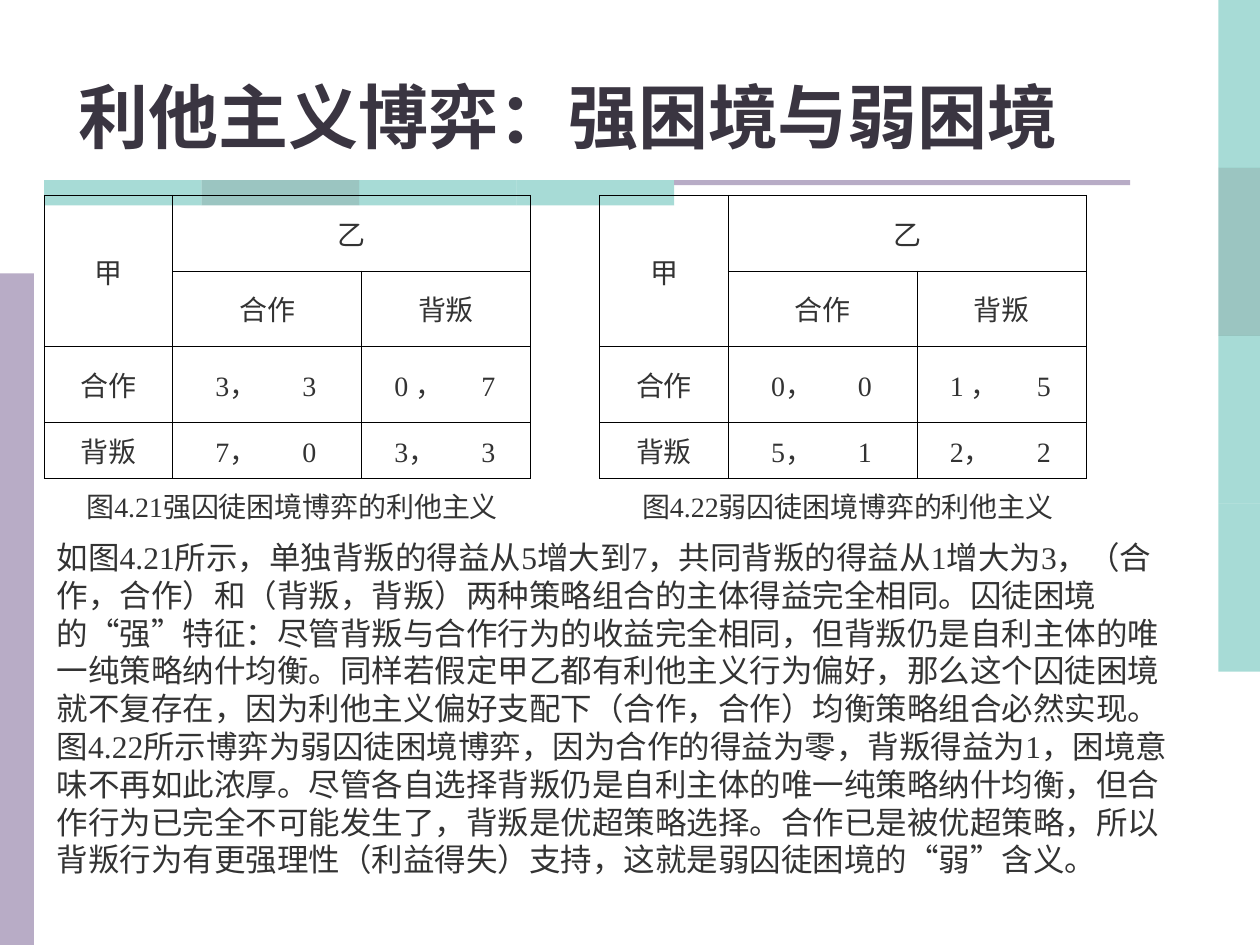
from lxml import etree
from pptx import Presentation
from pptx.dml.color import RGBColor
from pptx.enum.shapes import MSO_SHAPE
from pptx.enum.text import MSO_ANCHOR, MSO_AUTO_SIZE, PP_ALIGN
from pptx.oxml.ns import qn
from pptx.util import Inches, Pt

RECTANGLE = MSO_SHAPE.RECTANGLE
MIDDLE, BOTTOM, TOP = MSO_ANCHOR.MIDDLE, MSO_ANCHOR.BOTTOM, MSO_ANCHOR.TOP
FIXED, GROW = MSO_AUTO_SIZE.NONE, MSO_AUTO_SIZE.SHAPE_TO_FIT_TEXT
CENTER, LEFT = PP_ALIGN.CENTER, PP_ALIGN.LEFT

TEAL = RGBColor(0x51, 0xB9, 0xAF)
DARK_TEAL = RGBColor(0x39, 0x8D, 0x85)
LILAC = RGBColor(0xB8, 0xAC, 0xC6)
TITLE_INK = RGBColor(0x3A, 0x35, 0x41)
INK = RGBColor(0x33, 0x33, 0x33)
BLACK = RGBColor(0, 0, 0)

FONT = "Times New Roman"
BAND_COLORS = (TEAL, DARK_TEAL, TEAL, TEAL)
COLUMN_WIDTHS = (1.02, 1.5, 1.34)
ROW_HEIGHTS = (0.6, 0.6, 0.6, 0.45)
PAYOFF_MARGINS = {1: 0.34, 2: 0.26}
PAYOFF_TAB = 0.69

TITLE = "利他主义博弈：强困境与弱困境"
DISCUSSION = (
    "如图4.21所示，单独背叛的得益从5增大到7，共同背叛的得益从1增大为3，"
    "（合作，合作）和（背叛，背叛）两种策略组合的主体得益完全相同。"
    "囚徒困境的“强”特征：尽管背叛与合作行为的收益完全相同，"
    "但背叛仍是自利主体的唯一纯策略纳什均衡。"
    "同样若假定甲乙都有利他主义行为偏好，那么这个囚徒困境就不复存在，"
    "因为利他主义偏好支配下（合作，合作）均衡策略组合必然实现。",
    "图4.22所示博弈为弱囚徒困境博弈，因为合作的得益为零，背叛得益为1，"
    "困境意味不再如此浓厚。尽管各自选择背叛仍是自利主体的唯一纯策略纳什均衡，"
    "但合作行为已完全不可能发生了，背叛是优超策略选择。"
    "合作已是被优超策略，所以背叛行为有更强理性（利益得失）支持，"
    "这就是弱囚徒困境的“弱”含义。",
)
GAMES = (
    (0.35, "图4.21强囚徒困境博弈的利他主义",
     (("3，\t3", "0 ，\t7"), ("7，\t0", "3，\t3"))),
    (4.76, "图4.22弱囚徒困境博弈的利他主义",
     (("0，\t0", "1 ，\t5"), ("5，\t1", "2，\t2"))),
)


def apply_format(target, values):
    for attribute, value in values.items():
        setattr(target, attribute, value)


def place(shape, box):
    sides = ("left", "top", "width", "height")
    apply_format(shape, dict(zip(sides, map(Inches, box))))


def style_paragraph(paragraph, size, color=INK, bold=False, align=CENTER):
    apply_format(paragraph, {"alignment": align, "space_before": Pt(0)})
    apply_format(paragraph.font, {"name": FONT, "size": Pt(size), "bold": bold})
    paragraph.font.color.rgb = color


def add_block(slide, box, color, alpha=None):
    block = slide.shapes.add_shape(RECTANGLE, *map(Inches, box))
    block.shadow.inherit = False
    block.fill.solid()
    block.fill.fore_color.rgb = color
    block.line.fill.background()
    if alpha is not None:
        fill_color = block.fill._xPr.find(qn("a:solidFill"))[0]
        etree.SubElement(fill_color, qn("a:alpha"), val=str(alpha * 1000))


def add_band(slide, box, vertical=False):
    left, top, width, height = box
    step = (height if vertical else width) / len(BAND_COLORS)
    for index, color in enumerate(BAND_COLORS):
        if vertical:
            part = (left, top + index * step, width, step)
        else:
            part = (left + index * step, top, step, height)
        add_block(slide, part, color, alpha=50)


def add_decoration(slide):
    add_band(slide, (9.67, 0, 0.33, 5.33), vertical=True)
    add_block(slide, (0, 2.17, 0.27, 5.33), LILAC)
    add_band(slide, (0.35, 1.43, 5, 0.2))
    add_block(slide, (5.35, 1.43, 3.62, 0.04), LILAC)


def fill_title(title, box):
    place(title, box)
    title.text_frame.text = TITLE
    apply_format(title.text_frame, {"vertical_anchor": BOTTOM, "auto_size": FIXED})
    style_paragraph(title.text_frame.paragraphs[0], 40, TITLE_INK, bold=True)


def fill_discussion(body, box):
    place(body, box)
    frame = body.text_frame
    frame.text = "\n".join(DISCUSSION)
    apply_format(frame, {"vertical_anchor": TOP, "auto_size": GROW})
    for paragraph in frame.paragraphs:
        properties = paragraph._p.get_or_add_pPr()
        properties.set("marL", "0")
        properties.set("indent", "0")
        etree.SubElement(properties, qn("a:buNone"))
        style_paragraph(paragraph, 18, align=LEFT)


def add_borders(cell):
    properties = cell._tc.get_or_add_tcPr()
    for position, side in enumerate(("a:lnL", "a:lnR", "a:lnT", "a:lnB")):
        line = etree.Element(qn(side), w=str(Pt(0.45)))
        fill = etree.SubElement(line, qn("a:solidFill"))
        etree.SubElement(fill, qn("a:srgbClr"), val=str(BLACK))
        properties.insert(position, line)


def fill_cell(cell, text, column):
    cell.text = text
    cell.vertical_anchor = MIDDLE
    cell.fill.background()
    add_borders(cell)
    paragraph = cell.text_frame.paragraphs[0]
    align = CENTER
    if "\t" in text:
        align = LEFT
        cell.margin_left = Inches(PAYOFF_MARGINS[column])
        tabs = etree.SubElement(paragraph._p.get_or_add_pPr(), qn("a:tabLst"))
        etree.SubElement(tabs, qn("a:tab"), pos=str(Inches(PAYOFF_TAB)), algn="l")
    style_paragraph(paragraph, 16, align=align)


def add_payoff_table(slide, box, payoffs):
    rows = (("甲", "乙", ""), ("", "合作", "背叛"),
            ("合作", *payoffs[0]), ("背叛", *payoffs[1]))
    table = slide.shapes.add_table(4, 3, *map(Inches, box)).table
    apply_format(table, {"first_row": False, "horz_banding": False})
    for column, width in zip(table.columns, COLUMN_WIDTHS):
        column.width = Inches(width)
    for row, height in zip(table.rows, ROW_HEIGHTS):
        row.height = Inches(height)
    for row_index, texts in enumerate(rows):
        for column_index, text in enumerate(texts):
            fill_cell(table.cell(row_index, column_index), text, column_index)
    table.cell(0, 0).merge(table.cell(1, 0))
    table.cell(0, 1).merge(table.cell(0, 2))


def add_caption(slide, box, text):
    frame = slide.shapes.add_textbox(*map(Inches, box)).text_frame
    frame.text = text
    apply_format(frame, {"word_wrap": True, "vertical_anchor": MIDDLE, "auto_size": GROW})
    style_paragraph(frame.paragraphs[0], 16)


def add_game(slide, box, caption, payoffs):
    left, top, width, height = box
    add_payoff_table(slide, box, payoffs)
    add_caption(slide, (left + 0.08, top + height + 0.03, width - 0.08, 0.37), caption)


def main():
    presentation = Presentation()
    apply_format(presentation, {"slide_width": Inches(10), "slide_height": Inches(7.5)})
    slide = presentation.slides.add_slide(presentation.slide_layouts[1])
    add_decoration(slide)
    fill_title(slide.shapes.title, (0, 0.44, 9.02, 0.86))
    fill_discussion(slide.placeholders[1], (0.35, 4.22, 9.06, 2.8))
    for left, caption, payoffs in GAMES:
        add_game(slide, (left, 1.55, sum(COLUMN_WIDTHS), sum(ROW_HEIGHTS)), caption, payoffs)
    presentation.save("out.pptx")


if __name__ == "__main__":
    main()
